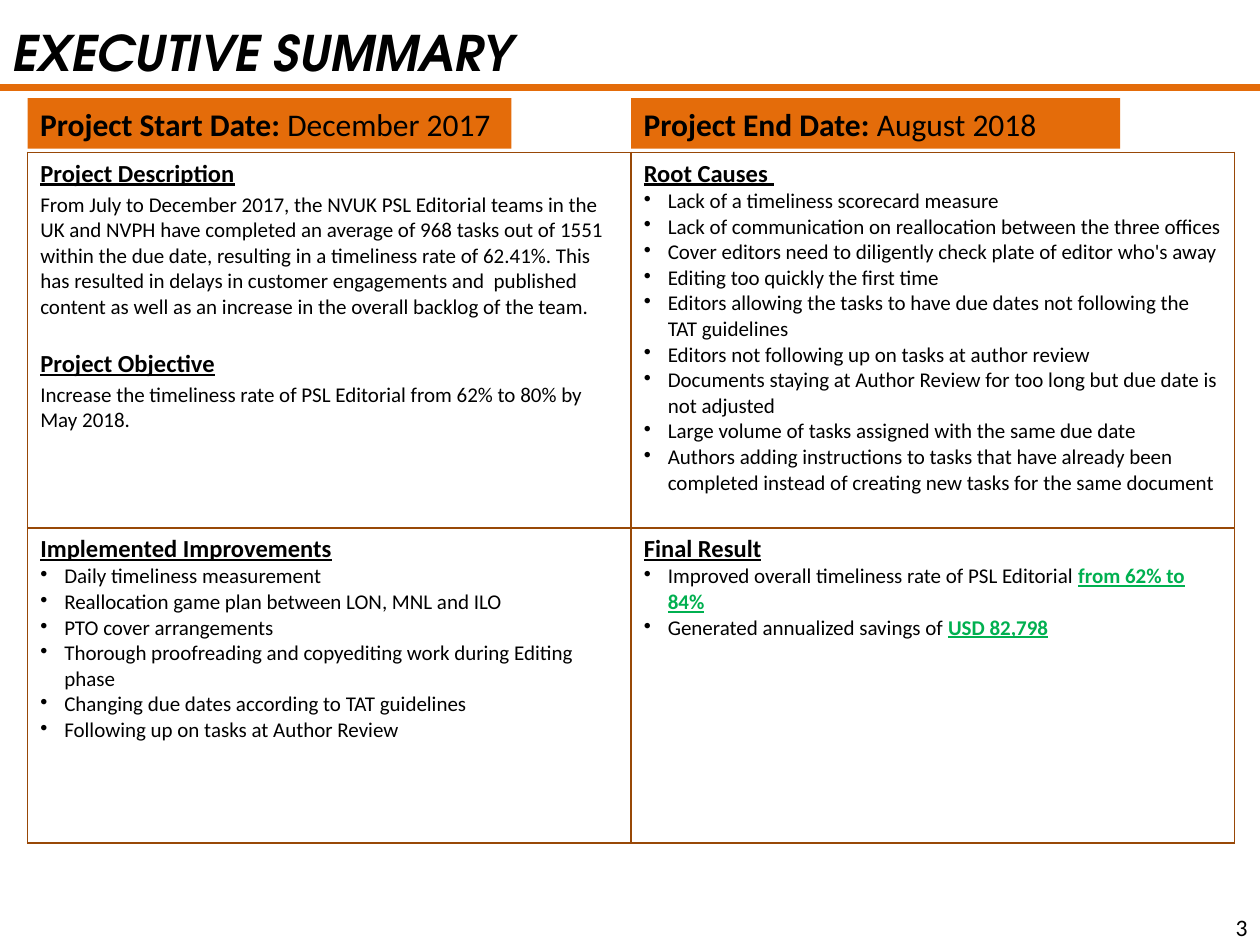
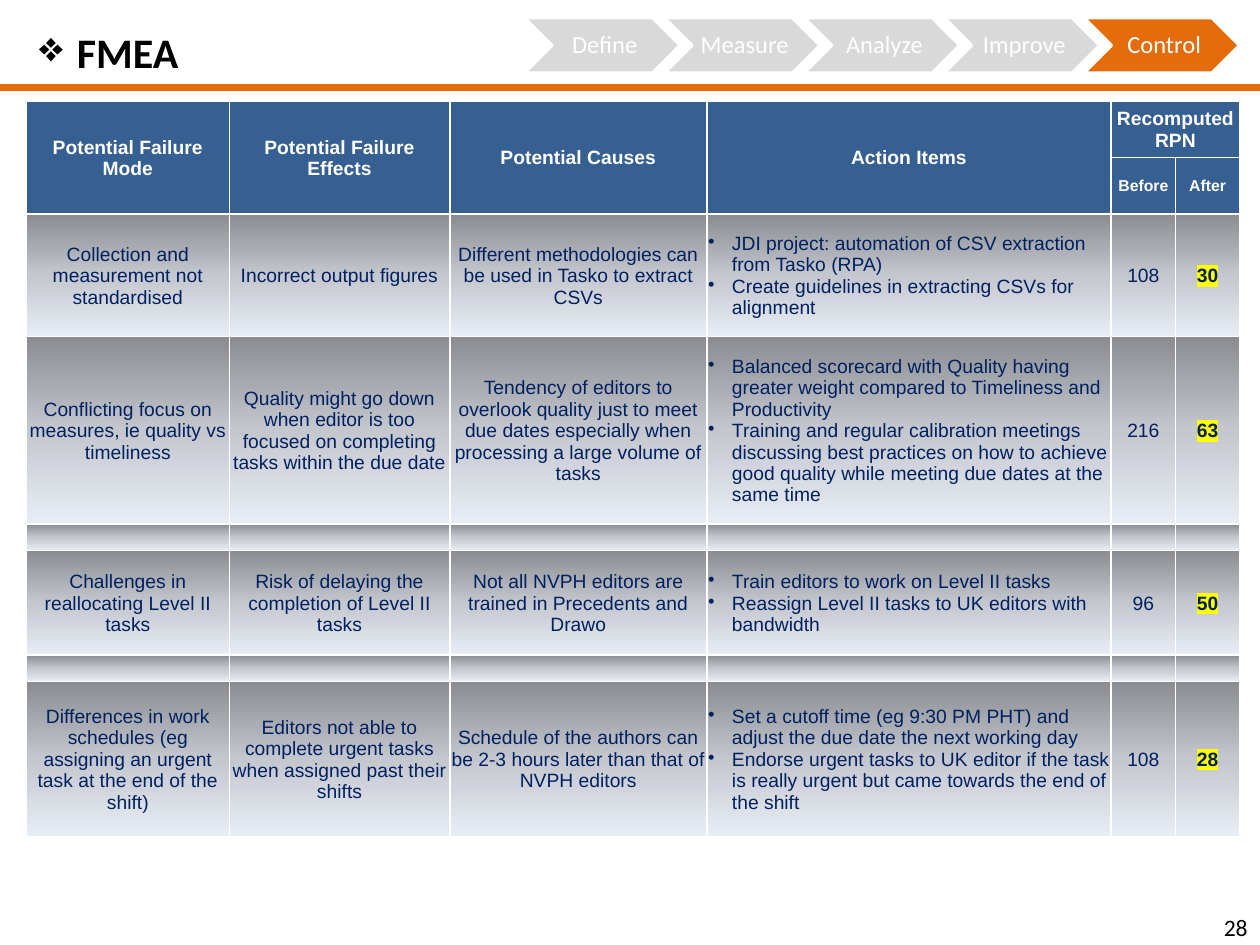
from lxml import etree
from pptx import Presentation
from pptx.dml.color import RGBColor
from pptx.enum.shapes import MSO_SHAPE
from pptx.enum.text import MSO_ANCHOR, MSO_AUTO_SIZE, PP_ALIGN
from pptx.oxml.ns import qn
from pptx.util import Inches, Pt

RECTANGLE, CHEVRON = MSO_SHAPE.RECTANGLE, MSO_SHAPE.CHEVRON
TOP, MIDDLE = MSO_ANCHOR.TOP, MSO_ANCHOR.MIDDLE
LEFT, CENTER, RIGHT, JUSTIFY = PP_ALIGN.LEFT, PP_ALIGN.CENTER, PP_ALIGN.RIGHT, PP_ALIGN.JUSTIFY
FIXED = MSO_AUTO_SIZE.NONE

GRID_COLUMNS, GRID_ROWS = 100, 75
COLORS = {
    "accent": "E46C0A", "border": "984807", "text": "000000", "white": "FFFFFF",
    "idle": "D9D9D9", "gain": "00B050", "header": "376092", "navy": "002060",
    "marker": "FFFF00", "shade_top": "8A8C91", "shade_mid": "C4C7CE", "shade_end": "E8ECF4",
}
SHADE = (("0", "shade_top"), ("50000", "shade_mid"), ("100000", "shade_end"))


def font(size, color="text", name="Calibri", **extra):
    return {"size": Pt(size), "name": name, "color": color, **extra}


FONTS = {
    "title": font(28, name="TeX Gyre Adventor", bold=True, italic=True),
    "tool": font(24, bold=True),
    "page": font(13.5),
    "date_label": font(18, bold=True),
    "date": font(18),
    "heading": font(14, bold=True, underline=True),
    "body": font(12),
    "gain": font(12, "gain", bold=True, underline=True),
    "phase": font(14, "white"),
    "header": font(11, "white", "Arial", bold=True),
    "subheader": font(9, "white", "Arial", bold=True),
    "entry": font(11, "navy", "Arial"),
    "score": font(11, "navy", "Arial", bold=True, highlight="marker"),
}
PARAGRAPHS = {
    "left": {"alignment": LEFT},
    "center": {"alignment": CENTER},
    "right": {"alignment": RIGHT},
    "justify": {"alignment": JUSTIFY},
    "phase": {"alignment": CENTER, "line_spacing": 0.9},
    "prose": {"space_after": Pt(2)},
    "next_prose": {"space_before": Pt(14.5), "space_after": Pt(2)},
    "bullet": {"alignment": LEFT, "bullet": ("•", 0.19)},
    "tool": {"alignment": LEFT, "bullet": ("❖", 0.3)},
}
TIGHT_CELL = {
    "margin_left": Inches(0.01), "margin_right": Inches(0.01),
    "margin_top": Inches(0.01), "margin_bottom": 0, "vertical_anchor": MIDDLE,
}
PHASE_FRAME = {
    "margin_left": Inches(0.06), "margin_right": Inches(0.02),
    "margin_top": Inches(0.02), "margin_bottom": Inches(0.02), "word_wrap": False,
}


def apply(target, values):
    for attribute, value in values.items():
        setattr(target, attribute, value)


def line(text, style, layout="left"):
    return layout, [(text, style)]


def bullets(texts, style="body"):
    return [line(text, style, "bullet") for text in texts]


class Deck:
    def __init__(self):
        self.show = Presentation()
        self.show.slide_width, self.show.slide_height = Inches(10), Inches(7.5)
        self.column = self.show.slide_width / GRID_COLUMNS
        self.row = self.show.slide_height / GRID_ROWS
        self.slide = None

    def box(self, left, top, width, height):
        return (round(left * self.column), round(top * self.row),
                round(width * self.column), round(height * self.row))

    def color(self, name):
        return RGBColor.from_string(COLORS[name])

    def solid_xml(self, parent, tag, name):
        etree.SubElement(etree.SubElement(parent, qn(tag)), qn("a:srgbClr"), val=COLORS[name])

    def typeset(self, frame, paragraphs):
        for index, (layout, runs) in enumerate(paragraphs):
            paragraph = frame.add_paragraph() if index else frame.paragraphs[0]
            values = dict(PARAGRAPHS[layout])
            bullet = values.pop("bullet", None)
            apply(paragraph, values)
            if bullet:
                mark, indent = bullet
                properties = paragraph._p.get_or_add_pPr()
                properties.set("marL", str(Inches(indent)))
                properties.set("indent", str(-Inches(indent)))
                etree.SubElement(properties, qn("a:buChar"), char=mark)
            for text, style in runs:
                run = paragraph.add_run()
                run.text = text
                self.style(run, FONTS[style])

    def style(self, run, values):
        values = {"bold": False, **values}
        color, highlight = values.pop("color"), values.pop("highlight", None)
        apply(run.font, values)
        run.font.color.rgb = self.color(color)
        if highlight:
            properties = run._r.get_or_add_rPr()
            self.solid_xml(properties, "a:highlight", highlight)
            properties.find(qn("a:solidFill")).addnext(properties[-1])

    def page(self, number, title, place, style, layout="left"):
        self.slide = self.show.slides.add_slide(self.show.slide_layouts[5])
        self.shape(RECTANGLE, (0, 6.7, 100, 0.5), "accent", ("accent", 0))
        heading = self.slide.shapes.title
        apply(heading, dict(zip(("left", "top", "width", "height"), self.box(*place))))
        apply(heading.text_frame, {"auto_size": FIXED, "vertical_anchor": TOP, "word_wrap": False})
        self.typeset(heading.text_frame, [line(title, style, layout)])
        folio = self.slide.shapes.add_textbox(*self.box(77.5, 72, 22.5, 3)).text_frame
        folio.word_wrap = True
        self.typeset(folio, [line(number, "page", "right")])

    def shape(self, kind, place, fill, outline=None, paragraphs=(), frame=None):
        shape = self.slide.shapes.add_shape(kind, *self.box(*place))
        shape.shadow.inherit = False
        shape.fill.solid()
        shape.fill.fore_color.rgb = self.color(fill)
        if outline:
            shape.line.color.rgb = self.color(outline[0])
            shape.line.width = Pt(outline[1])
        else:
            shape.line.fill.background()
        apply(shape.text_frame, frame or {})
        self.typeset(shape.text_frame, paragraphs)

    def table(self, corner, widths, heights, border):
        place = self.box(*corner, sum(widths), sum(heights))
        table = self.slide.shapes.add_table(len(heights), len(widths), *place).table
        apply(table, {"first_row": False, "horz_banding": False})
        for column, width in zip(table.columns, widths):
            column.width = round(width * self.column)
        for row, height in zip(table.rows, heights):
            row.height = round(height * self.row)
        for cell in table.iter_cells():
            properties = cell._tc.get_or_add_tcPr()
            for side in ("a:lnL", "a:lnR", "a:lnT", "a:lnB"):
                edge = etree.SubElement(properties, qn(side), w=str(Pt(1)))
                self.solid_xml(edge, "a:solidFill", border)
        return table

    def cell(self, cell, paragraphs, fill=None, values=None):
        apply(cell, values or {})
        if fill == "shade":
            gradient = etree.SubElement(cell._tc.get_or_add_tcPr(), qn("a:gradFill"))
            stops = etree.SubElement(gradient, qn("a:gsLst"))
            for position, name in SHADE:
                stop = etree.SubElement(stops, qn("a:gs"), pos=position)
                etree.SubElement(stop, qn("a:srgbClr"), val=COLORS[name])
            etree.SubElement(gradient, qn("a:lin"), ang="5400000", scaled="0")
        elif fill:
            cell.fill.solid()
            cell.fill.fore_color.rgb = self.color(fill)
        else:
            cell.fill.background()
        if paragraphs:
            self.typeset(cell.text_frame, paragraphs)
        else:
            etree.SubElement(cell.text_frame.paragraphs[0]._p, qn("a:endParaRPr"), sz="600")


DATES = (
    (2.2, 38.4, "Project Start Date: ", "December 2017"),
    (50.1, 38.8, "Project End Date: ", "August 2018"),
)
DESCRIPTION = [
    line("Project Description", "heading", "prose"),
    line("From July to December 2017, the NVUK PSL Editorial teams in the UK and NVPH have "
         "completed an average of 968 tasks out of 1551 within the due date, resulting in a "
         "timeliness rate of 62.41%. This has resulted in delays in customer engagements and  "
         "published content as well as an increase in the overall backlog of the team.",
         "body", "prose"),
    line("Project Objective", "heading", "next_prose"),
    line("Increase the timeliness rate of PSL Editorial from 62% to 80% by May 2018.",
         "body", "prose"),
]
ROOT_CAUSES = [line("Root Causes ", "heading", "justify")] + bullets([
    "Lack of a timeliness scorecard measure",
    "Lack of communication on reallocation between the three offices",
    "Cover editors need to diligently check plate of editor who's away",
    "Editing too quickly the first time",
    "Editors allowing the tasks to have due dates not following the TAT guidelines",
    "Editors not following up on tasks at author review",
    "Documents staying at Author Review for too long but due date is not adjusted",
    "Large volume of tasks assigned with the same due date",
    "Authors adding instructions to tasks that have already been completed instead of "
    "creating new tasks for the same document",
])
IMPROVEMENTS = [line("Implemented Improvements", "heading")] + bullets([
    "Daily timeliness measurement",
    "Reallocation game plan between LON, MNL and ILO",
    "PTO cover arrangements",
    "Thorough proofreading and copyediting work during Editing phase",
    "Changing due dates according to TAT guidelines",
    "Following up on tasks at Author Review",
])
FINAL_RESULT = [
    line("Final Result", "heading"),
    ("bullet", [("Improved overall timeliness rate of PSL Editorial ", "body"),
                ("from 62% to 84%", "gain")]),
    ("bullet", [("Generated annualized savings of ", "body"), ("USD 82,798", "gain")]),
]
PHASES = ("Define", "Measure", "Analyze", "Improve", "Control")
CURRENT_PHASE = "Control"
FMEA_HEADERS = ("Potential Failure Mode", "Potential Failure Effects", "Potential Causes",
                "Action Items", "Recomputed RPN")
FAILURES = {
    2: ("Collection and measurement not standardised", "Incorrect output figures",
        "Different methodologies can be used in Tasko to extract CSVs",
        ["JDI project: automation of CSV extraction from Tasko (RPA)",
         "Create guidelines in extracting CSVs for alignment"], "108", "30"),
    3: ("Conflicting focus on measures, ie quality vs timeliness",
        "Quality might go down when editor is too focused on completing tasks within the due date",
        "Tendency of editors to overlook quality just to meet due dates especially when "
        "processing a large volume of tasks",
        ["Balanced scorecard with Quality having greater weight compared to Timeliness and "
         "Productivity",
         "Training and regular calibration meetings discussing best practices on how to achieve "
         "good quality while meeting due dates at the same time"], "216", "63"),
    5: ("Challenges in reallocating Level II tasks",
        "Risk of delaying the completion of Level II tasks",
        "Not all NVPH editors are trained in Precedents and Drawo",
        ["Train editors to work on Level II tasks",
         "Reassign Level II tasks to UK editors with bandwidth"], "96", "50"),
    7: ("Differences in work schedules (eg assigning an urgent task at the end of the shift)",
        "Editors not able to complete urgent tasks when assigned past their shifts",
        "Schedule of the authors can be 2-3 hours later than that of NVPH editors",
        ["Set a cutoff time (eg 9:30 PM PHT) and adjust the due date the next working day",
         "Endorse urgent tasks to UK editor if the task is really urgent but came towards the "
         "end of the shift"], "108", "28"),
}


def build_summary(deck):
    deck.page("3", "EXECUTIVE SUMMARY", (0, 1.3, 54.9, 5.7), "title")
    for left, width, label, date in DATES:
        deck.shape(RECTANGLE, (left, 7.8, width, 4), "accent",
                   paragraphs=[("left", [(label, "date_label"), (date, "date")])])
    quadrants = deck.table((2.2, 12.1), (47.9, 47.9), (29.8, 25), "border")
    contents = (DESCRIPTION, ROOT_CAUSES, IMPROVEMENTS, FINAL_RESULT)
    for cell, paragraphs in zip(quadrants.iter_cells(), contents):
        deck.cell(cell, paragraphs)


def build_fmea(deck):
    deck.page("28", "FMEA", (2.1, 1.6, 13.1, 5), "tool", "tool")
    for index, phase in enumerate(PHASES):
        fill = "accent" if phase == CURRENT_PHASE else "idle"
        deck.shape(CHEVRON, (41.6 + 11.1 * index, 1.4, 12.4, 4.4), fill, ("white", 2),
                   [line(phase, "phase", "phase")], PHASE_FRAME)
    fmea = deck.table((2.1, 8), (16.1, 17.5, 20.4, 32.1, 5.1, 5.1),
                      (4.5, 4.5, 9.7, 14.9, 2.1, 8.3, 2.1, 12.3), "white")
    for column in range(4):
        fmea.cell(0, column).merge(fmea.cell(1, column))
    fmea.cell(0, 4).merge(fmea.cell(0, 5))
    for column, header in enumerate(FMEA_HEADERS):
        deck.cell(fmea.cell(0, column), [line(header, "header", "center")], "header", TIGHT_CELL)
    for column, header in enumerate(("Before", "After"), 4):
        deck.cell(fmea.cell(1, column), [line(header, "subheader", "center")], "header", TIGHT_CELL)
    for row in range(2, len(fmea.rows)):
        for column, entry in enumerate(FAILURES.get(row, [[]] * len(fmea.columns))):
            if isinstance(entry, list):
                paragraphs = bullets(entry, "entry")
            else:
                paragraphs = [line(entry, "score" if column == 5 else "entry", "center")]
            deck.cell(fmea.cell(row, column), paragraphs, "shade", TIGHT_CELL)


def main():
    deck = Deck()
    build_summary(deck)
    build_fmea(deck)
    deck.show.save("out.pptx")


if __name__ == "__main__":
    main()
